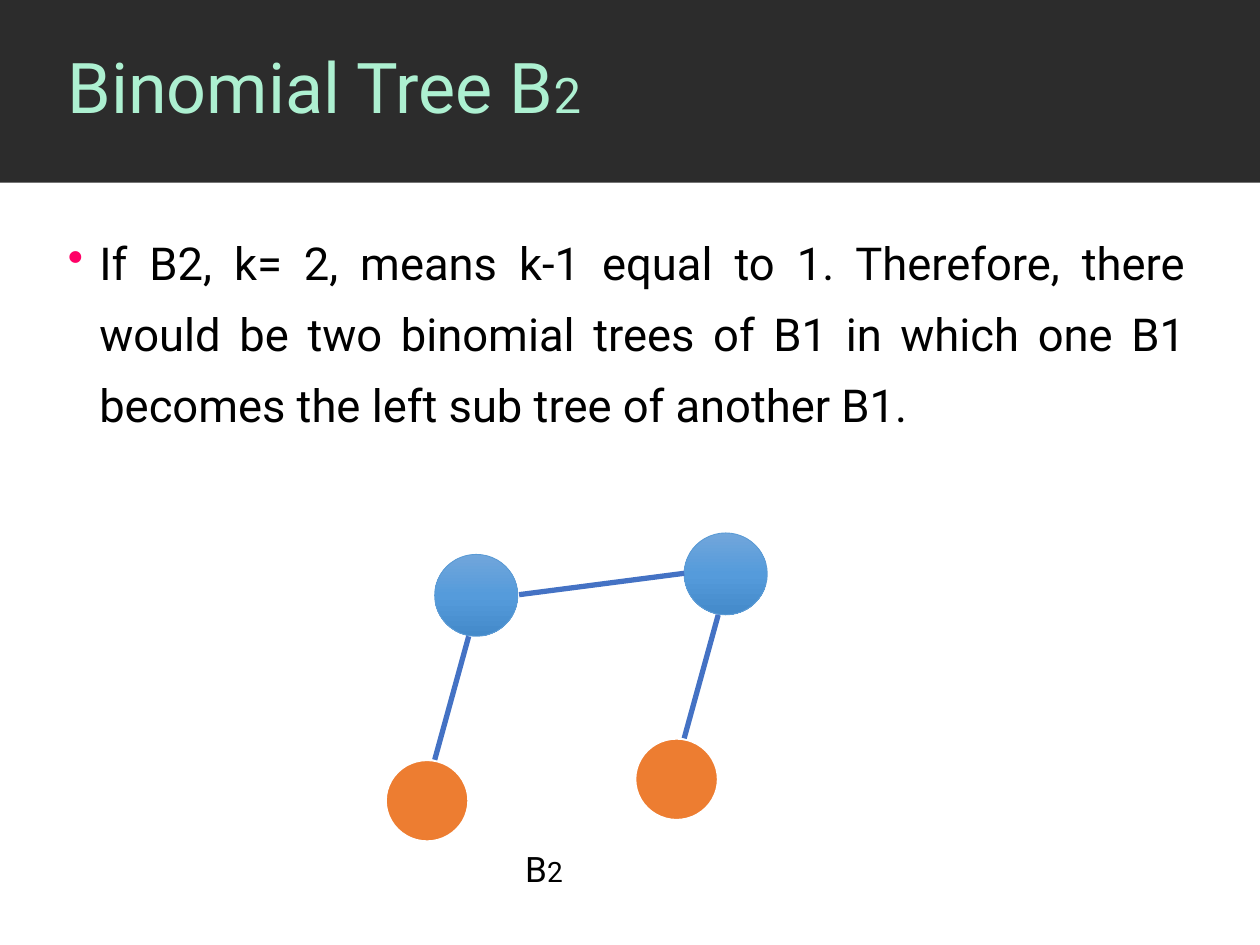
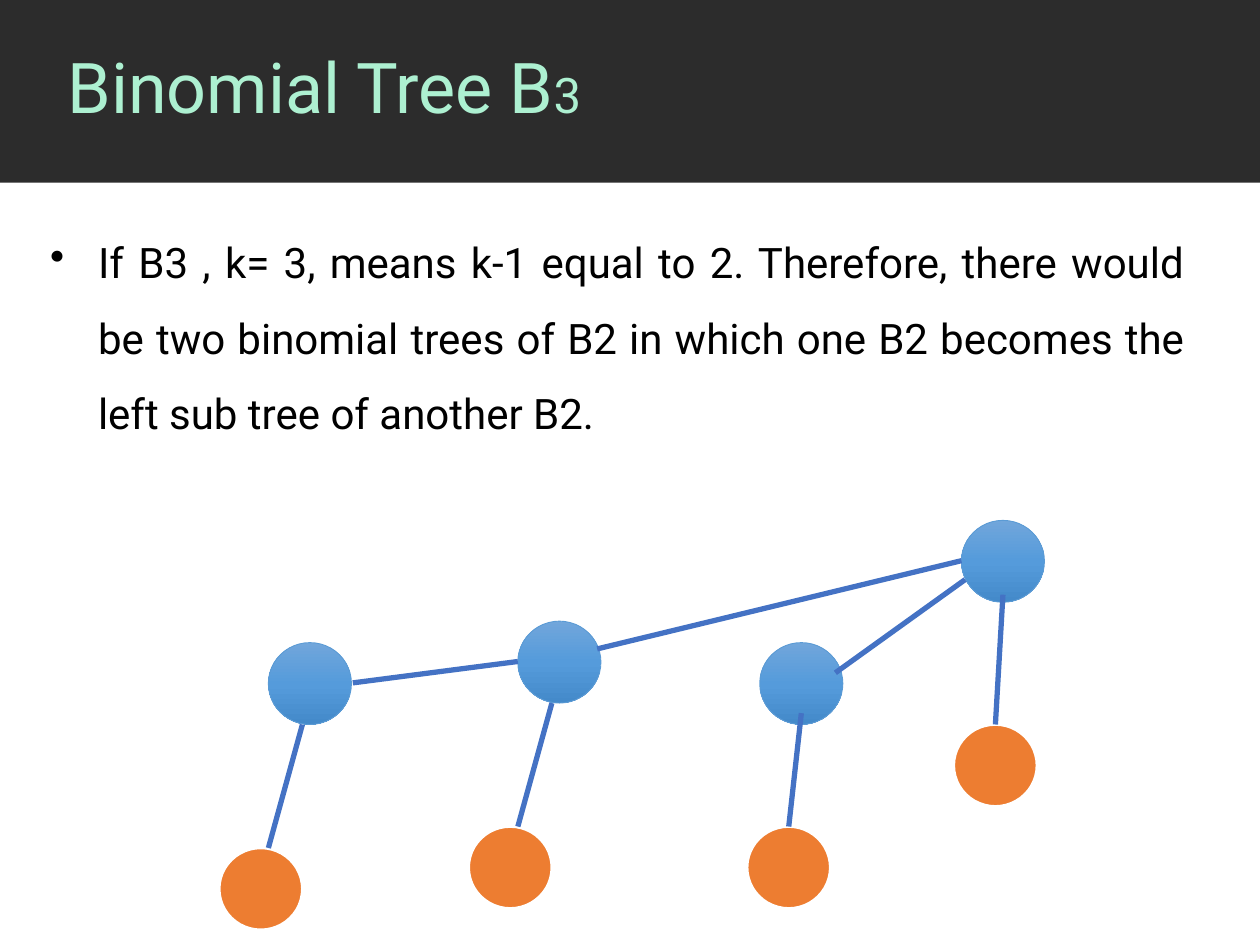
from copy import deepcopy

from lxml import etree
from pptx import Presentation
from pptx import util as u
from pptx.dml import color
from pptx.enum import shapes, text
from pptx.oxml import ns

PX = 9144  # one px is a hundredth of an inch
FONT = "Roboto"
BAND, MINT, BLACK, WHITE = "2C2C2C", "ADF0D1", "000000", "FFFFFF"
PINK, ORANGE, EDGE, NODE_LINE = "FF0066", "ED7D31", "4472C4", "5B9BD5"
NODE_GRADIENT = ("71A6DB", "559BDB", "448ACA")
NODE_WIDTH, NODE_HEIGHT = 66, 65


def px(*lengths):
    return [u.Emu(length * PX) for length in lengths]


def rgb(hex_string):
    return color.RGBColor.from_string(hex_string)


# Basic parts
def add_filled_shape(slide, kind, box, fill=None):
    shape = slide.shapes.add_shape(kind, *px(*box))
    shape.shadow.inherit = False
    shape.line.fill.background()
    if fill:
        shape.fill.solid()
        shape.fill.fore_color.rgb = rgb(fill)
    return shape


def add_text(slide, box, runs, font_color=BLACK):
    """Place one paragraph made of (wording, size) runs."""
    text_frame = slide.shapes.add_textbox(*px(*box)).text_frame
    text_frame.word_wrap = True
    paragraph = text_frame.paragraphs[0]
    for wording, size in runs:
        run = paragraph.add_run()
        run.text = wording
        run.font.size = u.Pt(size)
        run.font.name = FONT
        run.font.color.rgb = rgb(font_color)
    return text_frame


def add_title(slide, order):
    add_filled_shape(slide, shapes.MSO_SHAPE.RECTANGLE, (0, 0, 1000, 145), BAND)
    runs = [("Binomial Tree B", 40), (order, 28)]
    text_frame = add_text(slide, (44, 0, 956, 144), runs, MINT)
    text_frame.vertical_anchor = text.MSO_ANCHOR.MIDDLE
    text_frame.paragraphs[0].line_spacing = 0.9


def add_bullet_text(slide, box, wording, size, spacing, indent, bullet_color):
    paragraph = add_text(slide, box, [(wording, size)]).paragraphs[0]
    properties = paragraph._p.get_or_add_pPr()
    properties.set("marL", str(indent * PX))
    properties.set("indent", str(-indent * PX))
    bullet_fill = etree.SubElement(properties, ns.qn("a:buClr"))
    etree.SubElement(bullet_fill, ns.qn("a:srgbClr"), val=bullet_color)
    etree.SubElement(properties, ns.qn("a:buChar"), char="•")
    paragraph.alignment = text.PP_ALIGN.JUSTIFY
    paragraph.line_spacing = spacing


# Tree parts
def add_parent(slide, left, top):
    box = (left, top, NODE_WIDTH, NODE_HEIGHT)
    node = add_filled_shape(slide, shapes.MSO_SHAPE.OVAL, box)
    node.line.color.rgb = rgb(NODE_LINE)
    node.line.width = u.Pt(0.5)
    node.fill.gradient()
    node.fill.gradient_angle = 270
    stop_list = node._element.spPr.find(".//" + ns.qn("a:gsLst"))
    stop_list.insert(1, deepcopy(stop_list[0]))
    for index, stop in enumerate(node.fill.gradient_stops):
        stop.position = index / 2
        stop.color.rgb = rgb(NODE_GRADIENT[index])


def add_leaf(slide, left, top):
    box = (left, top, NODE_WIDTH, NODE_HEIGHT)
    leaf = add_filled_shape(slide, shapes.MSO_SHAPE.OVAL, box, ORANGE)
    leaf.line.color.rgb = rgb(WHITE)
    leaf.line.width = u.Pt(1.5)


def add_edge(slide, start, end):
    edge = slide.shapes.add_connector(
        shapes.MSO_CONNECTOR.STRAIGHT, *px(*start, *end))
    edge.line.color.rgb = rgb(EDGE)
    edge.line.width = u.Pt(3)
    etree.SubElement(edge._element.spPr, ns.qn("a:effectLst"))


def add_b1(slide, left, top, leaf_offset=(-39, 163), edge_start=(27, 65), edge_end=39):
    """Draw a parent at left, top with its leaf; offsets are from the parent."""
    leaf_left, leaf_top = left + leaf_offset[0], top + leaf_offset[1]
    add_leaf(slide, leaf_left, leaf_top)
    add_parent(slide, left, top)
    add_edge(slide, (left + edge_start[0], top + edge_start[1]),
             (leaf_left + edge_end, leaf_top))


def add_b2(slide, left, top):
    """Draw two B1 trees joined at their parents; left, top is the root."""
    add_b1(slide, left, top)
    add_b1(slide, left - 198, top + 17)
    add_edge(slide, (left, top + 32), (left - 131, top + 49))


# Slides
def build_b2_slide(slide):
    add_title(slide, "2")
    add_bullet_text(
        slide, (44, 169, 907, 189),
        "If B2, k= 2, means k-1 equal to 1. Therefore, there would be two "
        "binomial trees of B1 in which one B1 becomes the left sub tree of "
        "another B1.", 25.9, 1.3, 25, PINK)
    add_b2(slide, 543, 423)
    add_text(slide, (407, 668, 63, 44), [("B", 20), ("2", 16)])


def build_b3_slide(slide):
    add_title(slide, "3")
    add_bullet_text(
        slide, (30, 163, 920, 184),
        "If B3 , k= 3, means k-1 equal to 2. Therefore, there would be two "
        "binomial trees of B2 in which one B2 becomes the left sub tree of "
        "another B2.", 24, 1.5, 38, BLACK)
    # Right half: the root and its inner B1
    add_b1(slide, 763, 413, (-6, 162), (33, 59), 33)
    add_b1(slide, 603, 510, (-10, 146), (33, 56), 33)
    add_edge(slide, (766, 460), (663, 534))
    # Left half: a whole B2 hung from the root
    add_b2(slide, 411, 493)
    add_edge(slide, (763, 445), (474, 515))


def main():
    presentation = Presentation()
    presentation.slide_width, presentation.slide_height = px(1000, 750)
    blank_layout = presentation.slide_layouts[6]
    for build in (build_b2_slide, build_b3_slide):
        build(presentation.slides.add_slide(blank_layout))
    presentation.save("out.pptx")


if __name__ == "__main__":
    main()
